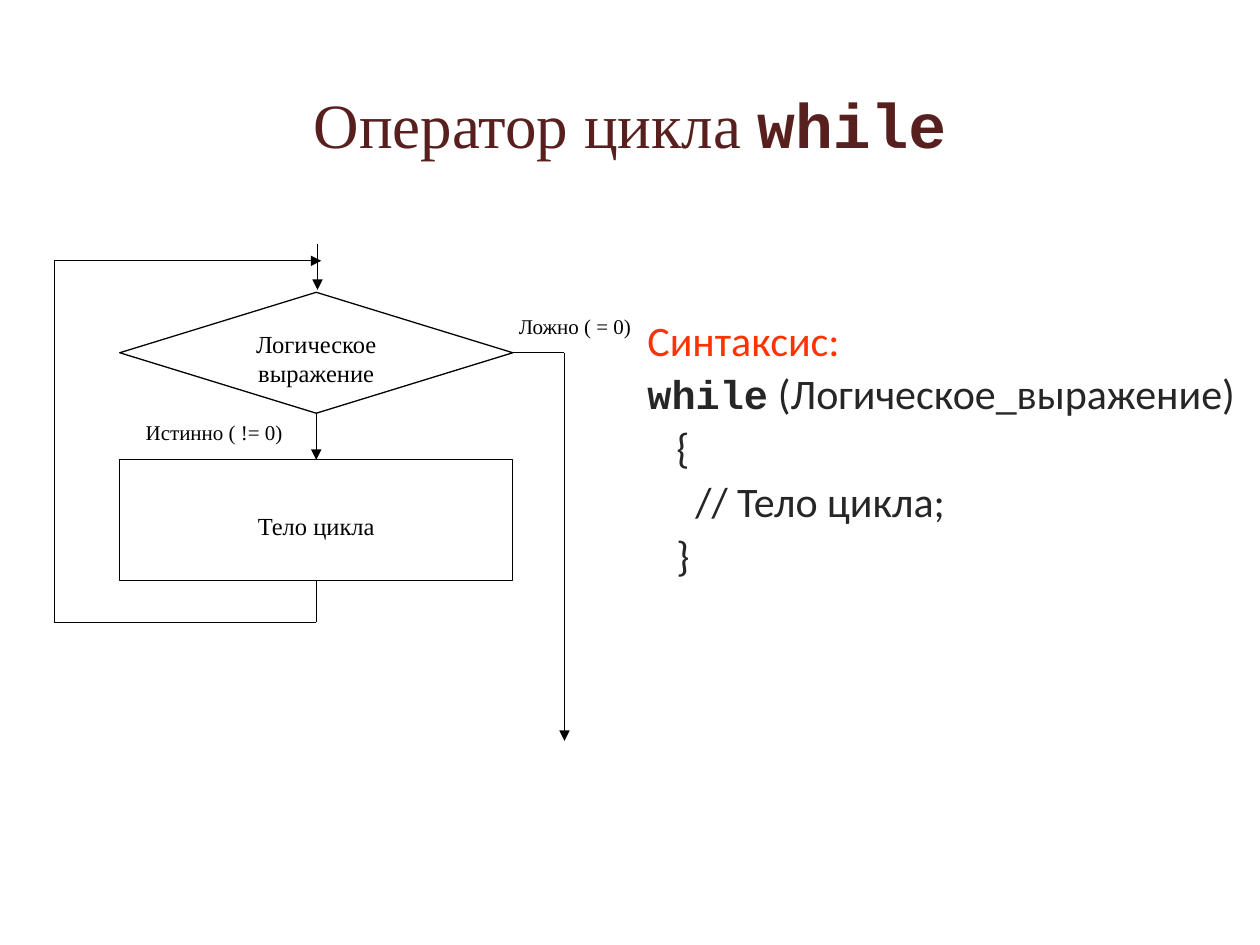
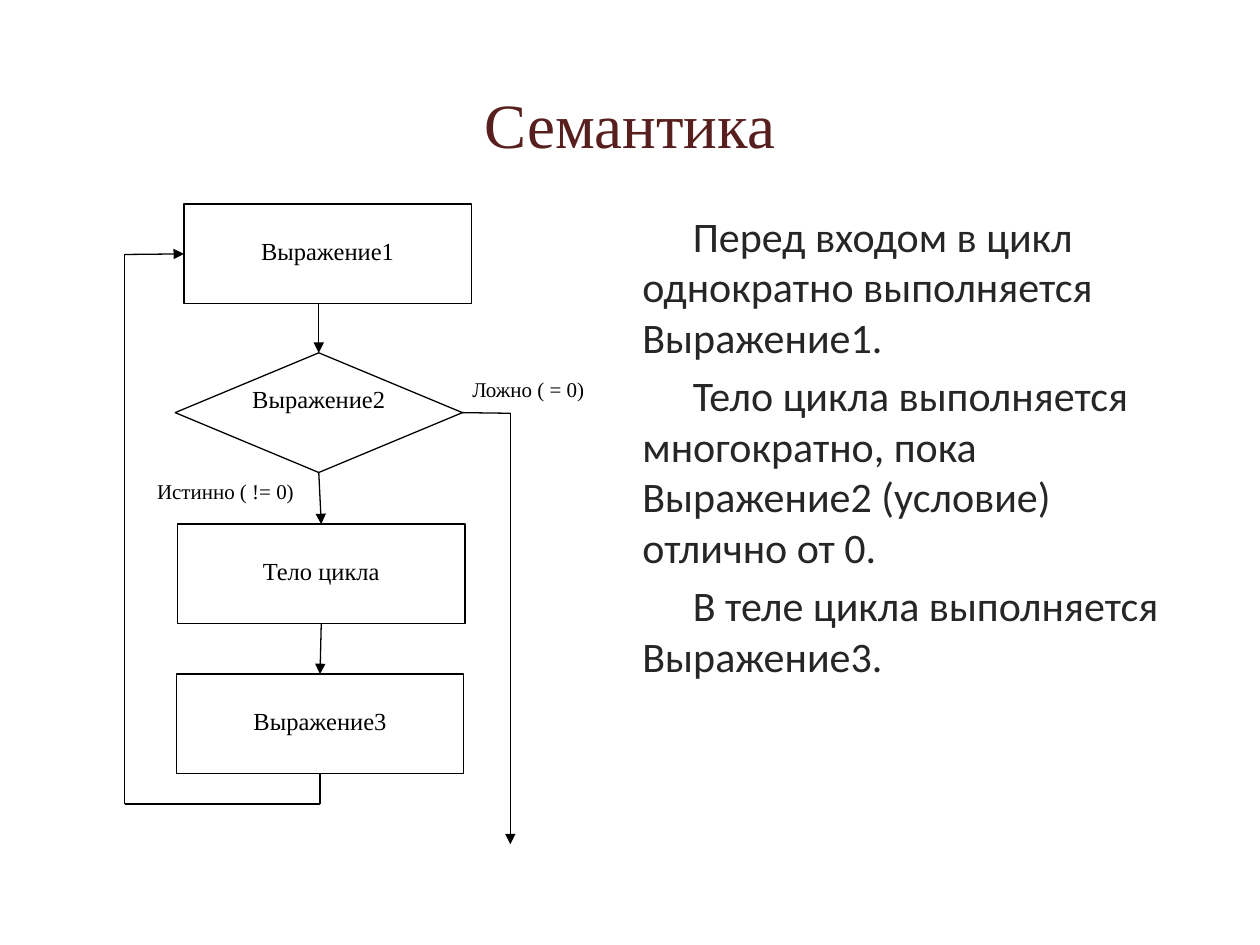
import dataclasses

import lxml.etree
import pptx
import pptx.dml.color
import pptx.enum.shapes
import pptx.enum.text
import pptx.oxml.ns
import pptx.util

Inches = pptx.util.Inches
Align = pptx.enum.text.PP_ALIGN
Anchor = pptx.enum.text.MSO_ANCHOR
Shape = pptx.enum.shapes.MSO_SHAPE
TOP, LEFT, BOTTOM, RIGHT = range(4)


@dataclasses.dataclass(frozen=True)
class Theme:
    title: str = "57201F"
    body: str = "262626"
    accent: str = "FF3300"
    ink: str = "000000"
    paper: str = "FFFFFF"
    serif: str = "Times New Roman"
    sans: str = "Calibri"
    mono: str = "Courier New"
    title_size: int = 36
    body_size: int = 24
    code_size: int = 23
    node_size: int = 14
    label_size: int = 12
    line_width: float = 0.75


def color(value):
    return pptx.dml.color.RGBColor.from_string(value)


def assign(target, values):
    for name, value in values.items():
        setattr(target, name, value)


class FlowDeck:
    def __init__(self, theme):
        self.theme = theme
        self.deck = pptx.Presentation()
        assign(self.deck, {"slide_width": Inches(10), "slide_height": Inches(7.5)})
        self.page = None

    def new_page(self, *title_spans):
        self.page = self.deck.slides.add_slide(self.deck.slide_layouts[6])
        style = {"name": self.theme.serif, "size": self.theme.title_size, "color": self.theme.title}
        frame = self.text_box(0.75, 0.17, 8.5, 1.61)
        frame.vertical_anchor = Anchor.MIDDLE
        self.add_spans(frame.paragraphs[0], title_spans, style, alignment=Align.CENTER)

    def text_box(self, left, top, width, height):
        box = self.page.shapes.add_textbox(*map(Inches, (left, top, width, height)))
        box.text_frame.word_wrap = True
        return box.text_frame

    def add_spans(self, para, spans, style, **layout):
        assign(para, layout)
        for text, changes in spans:
            span = para.add_run()
            span.text = text
            values = {**style, **changes}
            span.font.color.rgb = color(values.pop("color"))
            values["size"] = pptx.util.Pt(values["size"])
            assign(span.font, values)

    def body(self, area, paragraphs, line_spacing=1.0):
        style = {"name": self.theme.sans, "size": self.theme.body_size, "color": self.theme.body}
        frame = self.text_box(*area)
        for number, (indent, spans) in enumerate(paragraphs):
            para = frame.add_paragraph() if number else frame.paragraphs[0]
            para._p.get_or_add_pPr().set("indent", str(Inches(indent)))
            self.add_spans(para, spans, style, alignment=Align.LEFT, line_spacing=line_spacing,
                           space_before=pptx.util.Pt(0.2 * self.theme.body_size))

    def label(self, text, left, top, width, alignment=Align.LEFT):
        style = {"name": self.theme.serif, "size": self.theme.label_size, "color": self.theme.ink}
        frame = self.text_box(left, top, width, 0.28)
        self.add_spans(frame.paragraphs[0], [(text, {})], style, alignment=alignment)

    def node(self, kind, text, area, side_margin, top_margin):
        shape = self.page.shapes.add_shape(kind, *map(Inches, area))
        shape.shadow.inherit = False
        shape.fill.solid()
        shape.fill.fore_color.rgb = color(self.theme.paper)
        self.stroke(shape.line)
        frame = shape.text_frame
        assign(frame, {
            "word_wrap": True, "vertical_anchor": Anchor.TOP,
            "margin_left": Inches(side_margin), "margin_right": Inches(side_margin),
            "margin_top": Inches(top_margin), "margin_bottom": Inches(0.01),
        })
        style = {"name": self.theme.serif, "size": self.theme.node_size, "color": self.theme.ink}
        self.add_spans(frame.paragraphs[0], [(text, {})], style, alignment=Align.CENTER)
        return shape

    def decision(self, text, area, side_margin, top_margin):
        return self.node(Shape.FLOWCHART_DECISION, text, area, side_margin, top_margin)

    def process(self, text, area, side_margin, top_margin):
        return self.node(Shape.FLOWCHART_PROCESS, text, area, side_margin, top_margin)

    def stroke(self, line):
        line.color.rgb = color(self.theme.ink)
        line.width = pptx.util.Pt(self.theme.line_width)

    def route(self, *stops):
        for number, (start, end) in enumerate(zip(stops, stops[1:]), 2):
            self.connect(start, end, number == len(stops))

    def connect(self, start, end, arrow):
        joined = [not isinstance(stop[0], (int, float)) for stop in (start, end)]
        points = [(0, 0) if join else stop for join, stop in zip(joined, (start, end))]
        straight = pptx.enum.shapes.MSO_CONNECTOR.STRAIGHT
        link = self.page.shapes.add_connector(
            straight, *(Inches(value) for point in points for value in point))
        if joined[0]:
            link.begin_connect(*start)
        if joined[1]:
            link.end_connect(*end)
        self.stroke(link.line)
        properties = link.element.spPr
        qn = pptx.oxml.ns.qn
        if arrow:
            lxml.etree.SubElement(properties.find(qn("a:ln")), qn("a:tailEnd"), type="triangle")
        lxml.etree.SubElement(properties, qn("a:effectLst"))


def build_syntax(flow):
    theme = flow.theme
    keyword = {"name": theme.mono, "bold": True}
    flow.new_page(("Оператор цикла ", {}), ("while", keyword))
    flow.body((5.04, 2.49, 4.96, 2.36), [
        (0, [("Синтаксис:", {"color": theme.accent})]),
        (0, [("while", {**keyword, "size": theme.code_size}), (" (Логическое_выражение)", {})]),
        (0.23, [("{", {})]),
        (0.38, [("// Тело цикла;", {})]),
        (0.23, [("}", {})]),
    ], line_spacing=0.9)

    condition = flow.decision("Логическое выражение", (0.95, 2.32, 3.12, 0.96), 0.1, 0.05)
    loop_body = flow.process("Тело цикла", (0.95, 3.65, 3.12, 0.96), 0.1, 0.41)
    flow.label("Истинно ( != 0)", 1.01, 3.28, 1.38, Align.CENTER)
    flow.label("Ложно ( = 0)", 4.02, 2.44, 1.38)
    flow.route((2.52, 1.94), (2.52, 2.3))
    flow.route((condition, BOTTOM), (loop_body, TOP))
    flow.route((condition, RIGHT), (4.48, 2.8), (4.48, 5.88))
    flow.route((loop_body, BOTTOM), (2.51, 4.94), (0.43, 4.94), (0.43, 2.07), (2.55, 2.07))


def build_semantics(flow):
    flow.new_page(("Семантика", {}))
    sentences = (
        "Перед входом в цикл однократно выполняется Выражение1.",
        "Тело цикла выполняется многократно, пока Выражение2 (условие) отлично от 0.",
        "В теле цикла выполняется Выражение3.",
    )
    flow.body((5, 1.62, 4.65, 5.59), [(0.4, [(text, {})]) for text in sentences])

    condition = flow.decision("Выражение2", (1.39, 2.8, 2.28, 0.95), 0.02, 0.01)
    first, loop_body, step = (
        flow.process(text, (left, top, 2.28, 0.79), 0.02, 0.25)
        for text, left, top in (
            ("Выражение1", 1.46, 1.62), ("Тело цикла", 1.41, 4.16), ("Выражение3", 1.4, 5.35)))
    flow.label("Ложно ( = 0)", 3.65, 2.94, 1.3)
    flow.label("Истинно ( != 0)", 1.14, 3.75, 1.3, Align.CENTER)
    flow.route((2.53, 2.41), (condition, TOP))
    flow.route((condition, BOTTOM), (loop_body, TOP))
    flow.route((loop_body, BOTTOM), (step, TOP))
    flow.route((condition, RIGHT), (4.05, 3.28), (4.05, 6.7))
    flow.route((step, BOTTOM), (2.54, 6.38), (0.99, 6.38), (0.99, 2.02), (first, LEFT))


def main():
    flow = FlowDeck(Theme())
    build_syntax(flow)
    build_semantics(flow)
    flow.deck.save("out.pptx")


if __name__ == "__main__":
    main()
